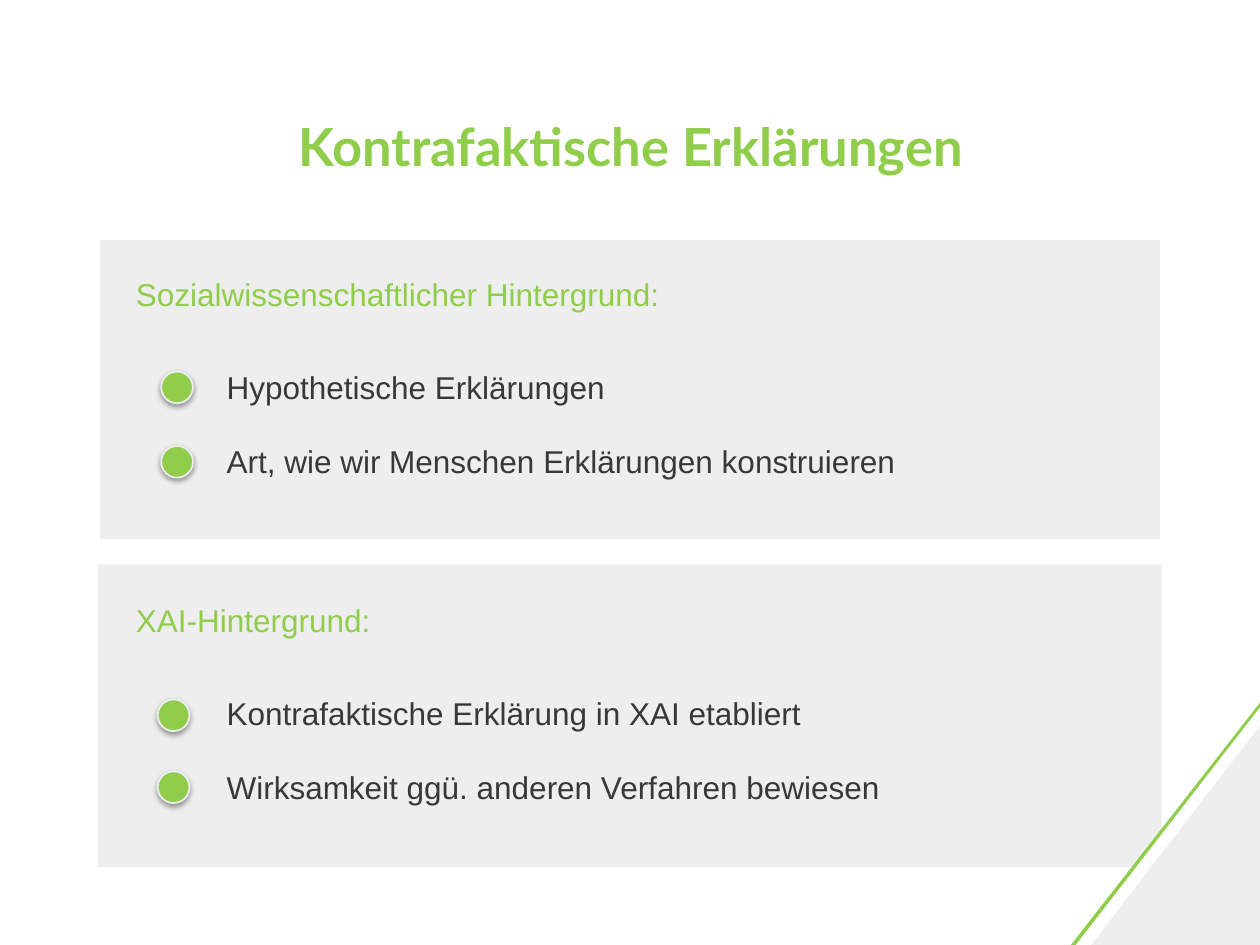
"""Build the slide on counterfactual explanations."""
import dataclasses

import lxml.etree
import pptx
import pptx.dml.color
import pptx.enum.shapes
import pptx.enum.text
import pptx.oxml.ns
import pptx.util

Cm = pptx.util.Cm
Pt = pptx.util.Pt
Shape = pptx.enum.shapes.MSO_SHAPE
Align = pptx.enum.text.PP_ALIGN
Anchor = pptx.enum.text.MSO_ANCHOR
qn = pptx.oxml.ns.qn


@dataclasses.dataclass(frozen=True)
class Theme:
    green: str = "8FCD4B"
    grey: str = "EEEEEE"
    white: str = "FFFFFF"
    text: str = "383838"
    title_font: str = "Lato"
    body_font: str = "Arial"
    title_size: float = 30
    body_size: float = 18
    item_gap: float = 20.7


def rgb(value):
    return pptx.dml.color.RGBColor.from_string(value)


class SlideBuilder:
    def __init__(self, slide, theme):
        self.slide = slide
        self.theme = theme

    def shape(self, kind, left, top, width, height, fill, line=None, line_width=1):
        shape = self.slide.shapes.add_shape(
            kind, Cm(left), Cm(top), Cm(width), Cm(height))
        shape.shadow.inherit = False
        shape.fill.solid()
        shape.fill.fore_color.rgb = rgb(fill)
        if line:
            shape.line.color.rgb = rgb(line)
            shape.line.width = Pt(line_width)
        else:
            shape.line.fill.background()
        return shape

    def dot(self, left, top):
        shape = self.shape(Shape.OVAL, left, top, 0.64, 0.64,
                           self.theme.green, self.theme.grey)
        effects = shape._element.spPr.find(qn("a:effectLst"))
        shadow = lxml.etree.SubElement(
            effects, qn("a:outerShdw"), blurRad="40000", dist="20000",
            dir="5400000", rotWithShape="0")
        color = lxml.etree.SubElement(shadow, qn("a:srgbClr"), val="000000")
        lxml.etree.SubElement(color, qn("a:alpha"), val="38000")

    def text(self, left, top, width, height, lines, color):
        box = self.slide.shapes.add_textbox(
            Cm(left), Cm(top), Cm(width), Cm(height))
        frame = box.text_frame
        frame.word_wrap = True
        for index, line in enumerate(lines):
            paragraph = frame.add_paragraph() if index else frame.paragraphs[0]
            if index:
                paragraph.space_before = Pt(self.theme.item_gap)
            run = paragraph.add_run()
            run.text = line
            run.font.name = self.theme.body_font
            run.font.size = Pt(self.theme.body_size)
            run.font.color.rgb = rgb(color)
        return frame

    def title(self, text):
        frame = self.text(2.49, 1.96, 20.45, 1.96, [text], self.theme.green)
        frame.vertical_anchor = Anchor.MIDDLE
        paragraph = frame.paragraphs[0]
        paragraph.alignment = Align.CENTER
        font = paragraph.runs[0].font
        font.name = self.theme.title_font
        font.size = Pt(self.theme.title_size)
        font.bold = True

    def section(self, top, heading, items, dot_left, dot_tops, border=None):
        self.shape(Shape.RECTANGLE, 1.98, top, 21.44, 6.1,
                   self.theme.grey, border, 2)
        self.text(2.49, top + 0.62, 20.24, 1.02, [heading], self.theme.green)
        self.text(4.32, top + 2.49, 18.62, 2.57, items, self.theme.text)
        for dot_top in dot_tops:
            self.dot(dot_left, dot_top)

    def line(self, start, end, color, width):
        connector = self.slide.shapes.add_connector(
            pptx.enum.shapes.MSO_CONNECTOR.STRAIGHT,
            *(Cm(value) for value in start + end))
        connector.line.color.rgb = rgb(color)
        connector.line.width = Pt(width)
        lxml.etree.SubElement(connector._element.spPr, qn("a:effectLst"))

    def corner(self):
        triangle = self.shape(Shape.RIGHT_TRIANGLE, 22, 14.63, 3.4, 4.42,
                              self.theme.grey)
        triangle._element.spPr.xfrm.set("flipH", "1")
        self.line((25.5, 14.1), (21.56, 19.15), self.theme.green, 2.25)
        band = self.shape(Shape.PARALLELOGRAM, 21.69, 14.2, 4.04, 4.85,
                          self.theme.white)
        band.adjustments[0] = 0.93


def main():
    presentation = pptx.Presentation()
    presentation.slide_width = Cm(25.4)
    presentation.slide_height = Cm(19.05)
    slide = presentation.slides.add_slide(presentation.slide_layouts[6])
    theme = Theme()
    builder = SlideBuilder(slide, theme)
    builder.title("Kontrafaktische Erklärungen")
    builder.section(
        4.8, "Sozialwissenschaftlicher Hintergrund:",
        ["Hypothetische Erklärungen",
         "Art, wie wir Menschen Erklärungen konstruieren"],
        3.25, (7.49, 8.99), theme.white)
    builder.section(
        11.38, "XAI-Hintergrund:",
        ["Kontrafaktische Erklärung in XAI etabliert",
         "Wirksamkeit ggü. anderen Verfahren bewiesen"],
        3.18, (14.1, 15.55))
    builder.corner()
    presentation.save("out.pptx")


if __name__ == "__main__":
    main()
